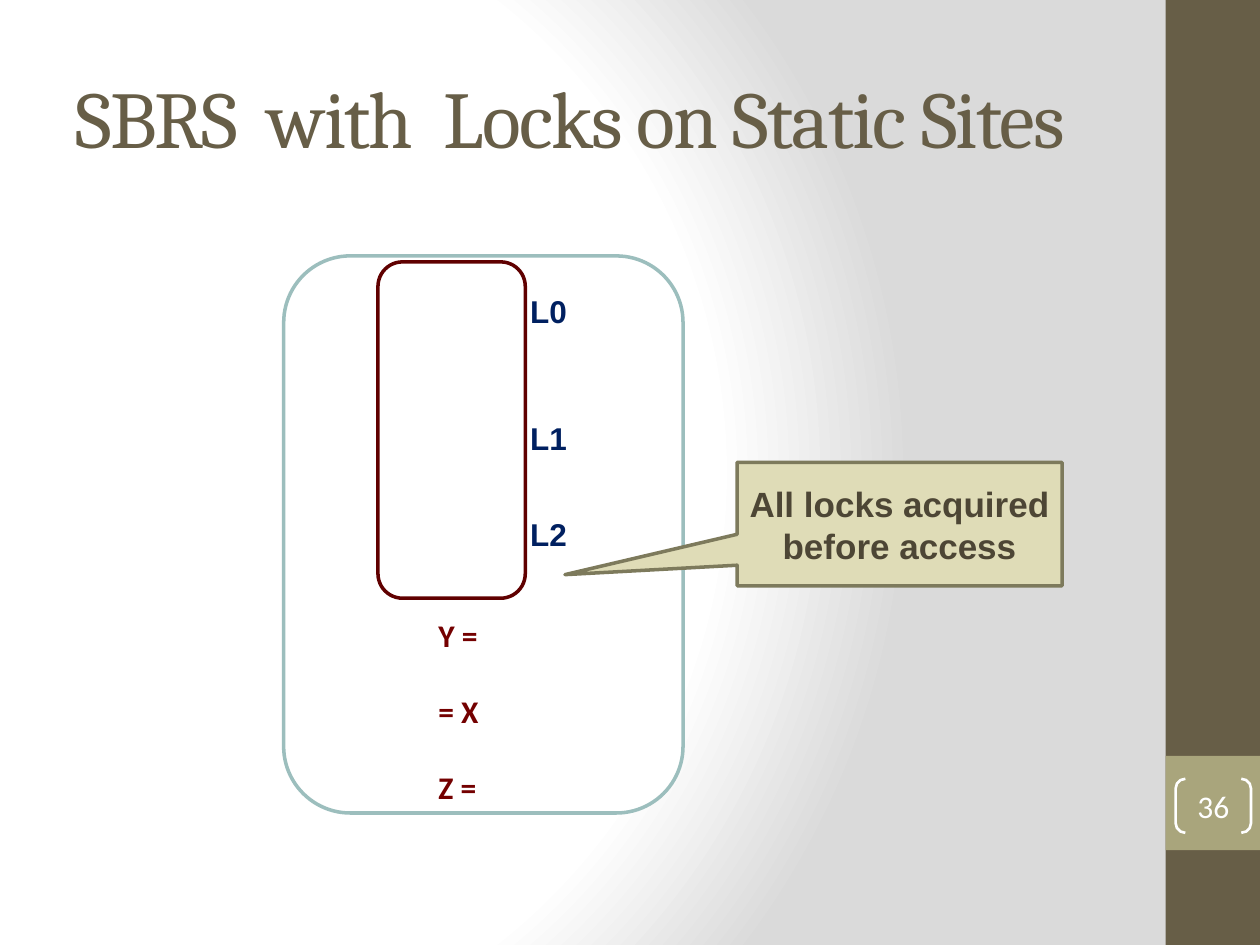
import pptx
import pptx.dml.color
import pptx.enum.shapes
import pptx.enum.text
import pptx.oxml
import pptx.oxml.ns
import pptx.util

Cm = pptx.util.Cm
Pt = pptx.util.Pt
SHAPE = pptx.enum.shapes.MSO_SHAPE
ALIGN = pptx.enum.text.PP_ALIGN
ANCHOR = pptx.enum.text.MSO_ANCHOR

TITLE = "SBRS  with  Locks on Static Sites"
PAGE_NUMBER = "36"
ACCESSES = ["Y =", "= X", "Z ="]
LOCKS = [("L0", 5.77), ("L1", 8.33), ("L2", 10.26)]
CALLOUT = "All locks acquired before access"
GRADIENT_STOPS = [(0, "FFFFFF"), (75, "FFFFFF"), (100, "DADADA")]


def rgb(value):
    return pptx.dml.color.RGBColor.from_string(value)


def paint_background(slide):
    slide.background.fill.solid()
    properties = slide.element.find(".//" + pptx.oxml.ns.qn("p:bgPr"))
    stops = "".join(
        f'<a:gs pos="{position * 1000}"><a:srgbClr val="{color}"/></a:gs>'
        for position, color in GRADIENT_STOPS
    )
    gradient = pptx.oxml.parse_xml(
        f'<a:gradFill {pptx.oxml.ns.nsdecls("a")} rotWithShape="1">'
        f'<a:gsLst>{stops}</a:gsLst><a:path path="circle">'
        '<a:fillToRect l="20000" t="50000" r="100000" b="50000"/>'
        "</a:path></a:gradFill>"
    )
    properties.replace(properties[0], gradient)


def add_shape(slide, preset, box, fill=None, line=None, width=2, adjustments=()):
    shape = slide.shapes.add_shape(preset, *map(Cm, box))
    shape.shadow.inherit = False
    if fill:
        shape.fill.solid()
        shape.fill.fore_color.rgb = rgb(fill)
    else:
        shape.fill.background()
    if line:
        shape.line.color.rgb = rgb(line)
        shape.line.width = Pt(width)
    else:
        shape.line.fill.background()
    for index, value in enumerate(adjustments):
        shape.adjustments[index] = value
    return shape


def write(shape, lines, font, size, color, bold=False, align=ALIGN.LEFT,
          anchor=ANCHOR.TOP, gap=0):
    frame = shape.text_frame
    frame.word_wrap = True
    frame.vertical_anchor = anchor
    frame.text = "\n".join(lines)
    for index, paragraph in enumerate(frame.paragraphs):
        paragraph.alignment = align
        if index and gap:
            paragraph.space_before = Pt(gap)
        paragraph.font.name = font
        paragraph.font.size = Pt(size)
        paragraph.font.bold = bold
        paragraph.font.color.rgb = rgb(color)
    return frame


def add_text(slide, box, lines, *style, **options):
    return write(slide.shapes.add_textbox(*map(Cm, box)), lines, *style, **options)


def main():
    presentation = pptx.Presentation()
    presentation.slide_width = Cm(25.4)
    presentation.slide_height = Cm(19.05)
    slide = presentation.slides.add_slide(presentation.slide_layouts[6])
    paint_background(slide)

    add_shape(slide, SHAPE.RECTANGLE, (23.5, 0, 1.9, 19.05), "675E47")
    add_shape(slide, SHAPE.RECTANGLE, (23.5, 15.24, 1.9, 1.9), "A9A57C")

    title = add_text(slide, (1.27, 0.76, 21.16, 3.18), [TITLE], "Cambria", 46,
                     "675E47", anchor=ANCHOR.MIDDLE)
    title.paragraphs[0].runs[0].font._element.set("spc", "-100")

    page_brackets = add_shape(slide, SHAPE.DOUBLE_BRACKET, (23.7, 15.7, 1.52, 1.09),
                              line="FFFFFF", width=1.5, adjustments=[0.18])
    page = write(page_brackets, [PAGE_NUMBER], "Calibri", 18, "FFFFFF",
                 align=ALIGN.CENTER, anchor=ANCHOR.MIDDLE)
    page.margin_left = page.margin_right = page.margin_top = page.margin_bottom = 0

    add_shape(slide, SHAPE.ROUNDED_RECTANGLE, (5.72, 5.16, 8.05, 11.23),
              "FFFFFF", "9CBEBD")
    add_text(slide, (8.59, 12.29, 3.71, 4.1), ACCESSES, "Calibri", 18, "740000",
             bold=True, gap=22)

    callout = add_shape(slide, SHAPE.RECTANGULAR_CALLOUT, (14.86, 9.32, 6.55, 2.49),
                        "DFDCB7", "7D7A5C", adjustments=[-1.03, 0.41])
    write(callout, [CALLOUT], "Arial", 20, "4D4635", bold=True,
          align=ALIGN.CENTER, anchor=ANCHOR.MIDDLE)

    for lock, top in LOCKS:
        add_text(slide, (10.44, top, 1.37, 1.02), [lock], "Arial", 18, "002060",
                 bold=True)
    add_shape(slide, SHAPE.FLOWCHART_ALTERNATE_PROCESS, (7.62, 5.28, 2.97, 6.78),
              line="600000")

    presentation.save("out.pptx")


if __name__ == "__main__":
    main()
